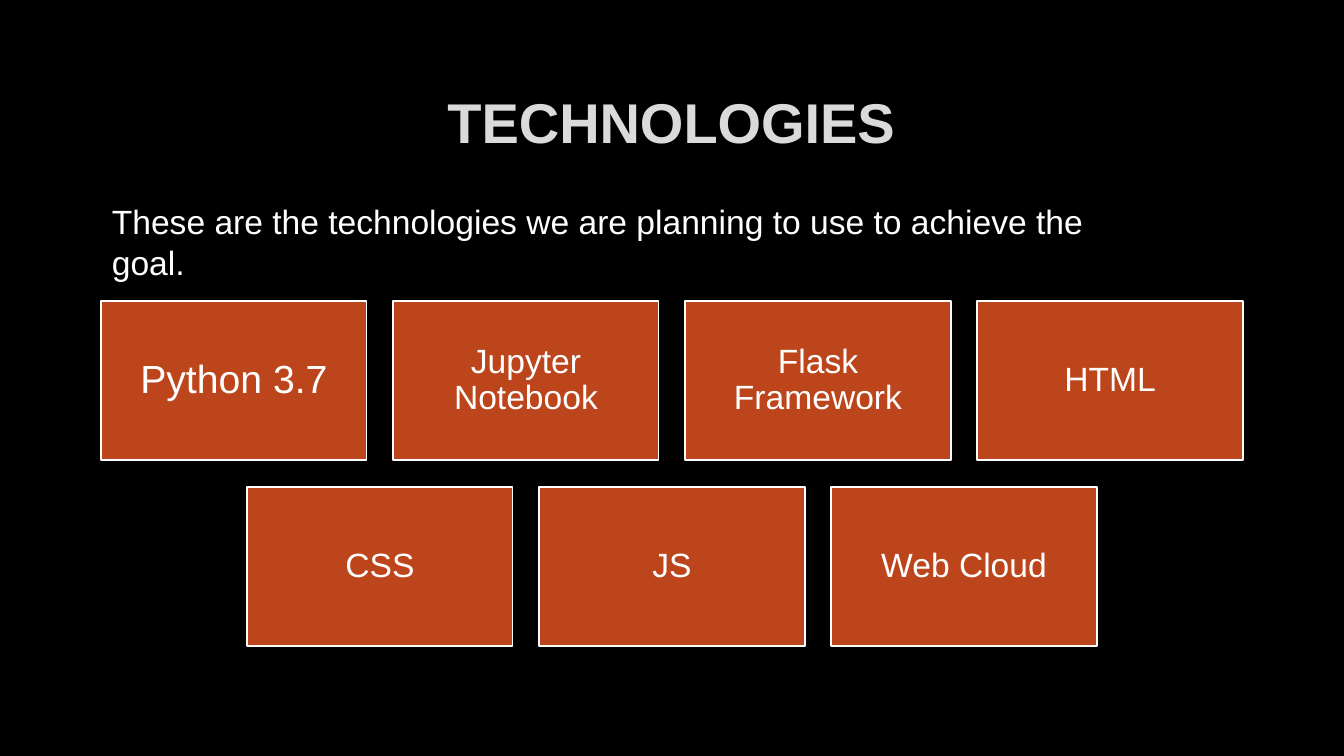
"""Build the Technologies slide: a title, an introduction and two centred rows of cards."""
from pptx import Presentation
from pptx import util as u
from pptx.dml.color import RGBColor
from pptx.enum import shapes, text

BLACK = RGBColor(0x00, 0x00, 0x00)
WHITE = RGBColor(0xFF, 0xFF, 0xFF)
SILVER = RGBColor(0xDA, 0xDA, 0xDA)
RUST = RGBColor(0xBC, 0x45, 0x1B)

SLIDE_WIDTH, SLIDE_HEIGHT = 33.87, 19.05
CARD_WIDTH, CARD_HEIGHT, GAP = 6.69, 4.01, 0.67
FIRST_ROW_TOP = 7.59
ROWS = [
    ["Python 3.7", "Jupyter Notebook", "Flask Framework", "HTML"],
    ["CSS", "JS", "Web Cloud"],
]


def write(frame, words, size, color, alignment, bold=False):
    frame.word_wrap = True
    paragraph = frame.paragraphs[0]
    paragraph.text = words
    paragraph.alignment = alignment
    font = paragraph.runs[0].font
    looks = {"name": "Arial", "size": u.Pt(size), "bold": bold}
    for key, value in looks.items():
        setattr(font, key, value)
    font.color.rgb = color
    return paragraph


deck = Presentation()
deck.slide_width, deck.slide_height = u.Cm(SLIDE_WIDTH), u.Cm(SLIDE_HEIGHT)
slide = deck.slides.add_slide(deck.slide_layouts[5])
slide.background.fill.solid()
slide.background.fill.fore_color.rgb = BLACK

heading = slide.shapes.title
heading_place = {"left": 2.54, "top": 1.7, "width": 28.75, "height": 2.69}
for key, value in heading_place.items():
    setattr(heading, key, u.Cm(value))
heading.text_frame.vertical_anchor = text.MSO_ANCHOR.MIDDLE
write(heading.text_frame, "TECHNOLOGIES", 40, SILVER, text.PP_ALIGN.CENTER, bold=True)

for row, technologies in enumerate(ROWS):
    row_width = len(technologies) * (CARD_WIDTH + GAP) - GAP
    row_left = (SLIDE_WIDTH - row_width) / 2
    top = FIRST_ROW_TOP + row * (CARD_HEIGHT + GAP)
    for column, technology in enumerate(technologies):
        left = row_left + column * (CARD_WIDTH + GAP)
        card = slide.shapes.add_shape(
            shapes.MSO_SHAPE.RECTANGLE,
            u.Cm(left), u.Cm(top), u.Cm(CARD_WIDTH), u.Cm(CARD_HEIGHT),
        )
        card.shadow.inherit = False
        card.fill.solid()
        card.fill.fore_color.rgb = RUST
        card.line.color.rgb = WHITE
        card.line.width = u.Pt(1.25)
        card.text_frame.vertical_anchor = text.MSO_ANCHOR.MIDDLE
        for side in ("left", "top", "right", "bottom"):
            setattr(card.text_frame, f"margin_{side}", u.Cm(0.25))
        size = 28 if technology == "Python 3.7" else 24
        label = write(card.text_frame, technology, size, WHITE, text.PP_ALIGN.CENTER)
        label.line_spacing = 0.9

introduction = slide.shapes.add_textbox(u.Cm(2.57), u.Cm(4.95), u.Cm(26.19), u.Cm(2.06))
write(
    introduction.text_frame,
    "These are the technologies we are planning to use to achieve the goal.",
    24, WHITE, text.PP_ALIGN.LEFT,
)

deck.save("out.pptx")
